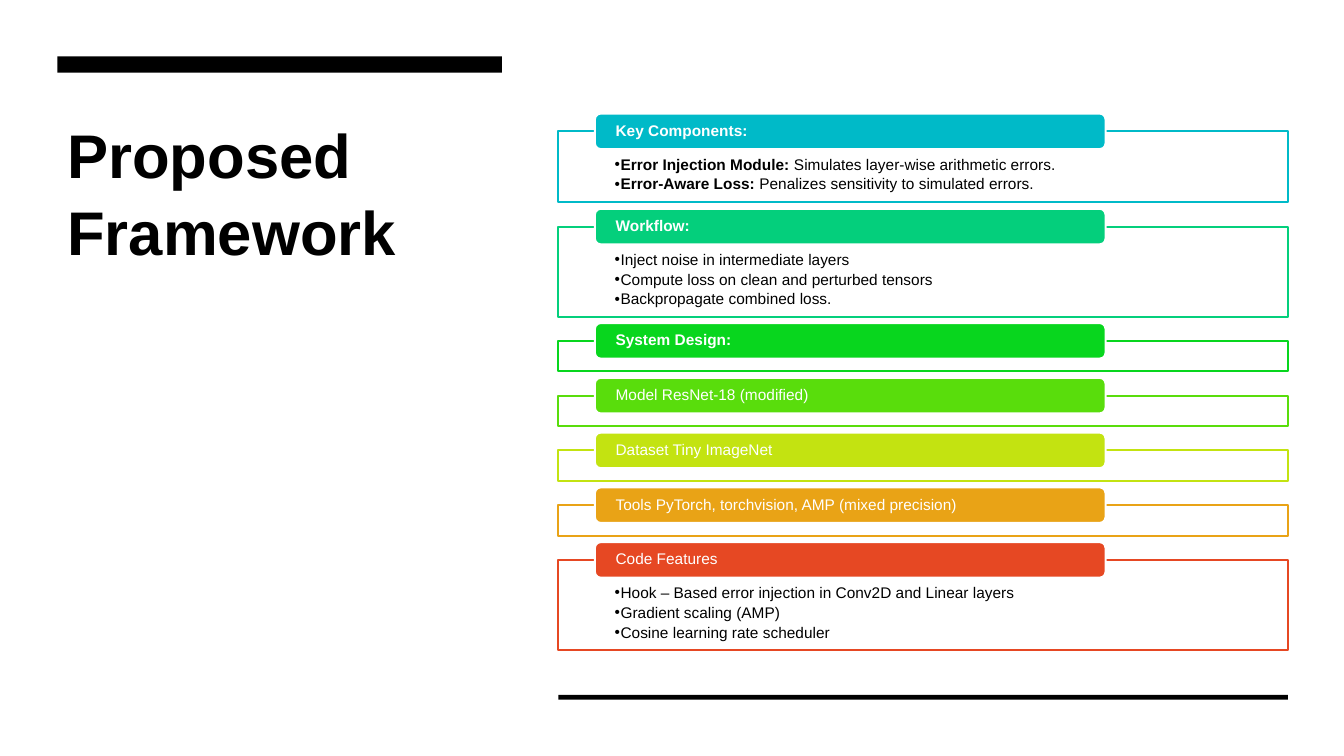
from lxml.etree import SubElement
from pptx import Presentation
from pptx.dml.color import RGBColor
from pptx.enum.shapes import MSO_SHAPE as Shape
from pptx.enum.text import MSO_ANCHOR as Anchor, PP_ALIGN as Align
from pptx.oxml.ns import qn
from pptx.util import Cm, Pt

BLACK = RGBColor(0x00, 0x00, 0x00)
WHITE = RGBColor(0xFF, 0xFF, 0xFF)
CYAN = RGBColor(0x00, 0xBA, 0xC8)
TEAL = RGBColor(0x04, 0xCF, 0x7C)
GREEN = RGBColor(0x08, 0xD6, 0x1E)
LIME = RGBColor(0x59, 0xDD, 0x0C)
YELLOW = RGBColor(0xC3, 0xE3, 0x11)
ORANGE = RGBColor(0xE9, 0xA3, 0x16)
RED = RGBColor(0xE6, 0x48, 0x23)

FONT = "Arial"
TAB_HEIGHT = 0.9
SECTION_GAP = 0.61
BODY_HEIGHTS = {0: 0.77, 2: 1.79, 3: 2.27}

SECTIONS = [
    (CYAN, "Key Components:", True, [
        ("Error Injection Module:", " Simulates layer-wise arithmetic errors."),
        ("Error-Aware Loss:", " Penalizes sensitivity to simulated errors."),
    ]),
    (TEAL, "Workflow:", True, [
        ("", "Inject noise in intermediate layers"),
        ("", "Compute loss on clean and perturbed tensors"),
        ("", "Backpropagate combined loss."),
    ]),
    (GREEN, "System Design:", True, []),
    (LIME, "Model ResNet-18 (modified)", False, []),
    (YELLOW, "Dataset Tiny ImageNet", False, []),
    (ORANGE, "Tools PyTorch, torchvision, AMP (mixed precision)", False, []),
    (RED, "Code Features", False, [
        ("", "Hook – Based error injection in Conv2D and Linear layers"),
        ("", "Gradient scaling (AMP)"),
        ("", "Cosine learning rate scheduler"),
    ]),
]


def add_text(paragraph, text, size=11, color=BLACK, bold=False):
    """Append a formatted run to a paragraph."""
    run = paragraph.add_run()
    run.text = text
    run.font.name = FONT
    run.font.size = Pt(size)
    run.font.bold = bold
    run.font.color.rgb = color


def set_frame(frame, margins, anchor=Anchor.TOP):
    """Set wrapping, anchor and left, top, right, bottom margins in cm."""
    frame.word_wrap = True
    frame.vertical_anchor = anchor
    (frame.margin_left, frame.margin_top,
     frame.margin_right, frame.margin_bottom) = map(Cm, margins)


def add_block(slide, kind, left, top, width, height, fill, line=None):
    """Add a flat preset shape, outlined only when a line colour is given."""
    shape = slide.shapes.add_shape(kind, Cm(left), Cm(top), Cm(width), Cm(height))
    shape.shadow.inherit = False
    shape.fill.solid()
    shape.fill.fore_color.rgb = fill
    if line is None:
        shape.line.fill.background()
    else:
        shape.line.color.rgb = line
        shape.line.width = Pt(1.5)
    return shape


def add_bullet(paragraph):
    """Give a paragraph a hanging round bullet."""
    paragraph.level = 1
    paragraph.alignment = Align.LEFT
    paragraph.line_spacing = 0.9
    paragraph.space_after = Pt(2.2)
    properties = paragraph._p.get_or_add_pPr()
    properties.set("marL", str(Cm(0.15)))
    properties.set("indent", str(-Cm(0.15)))
    SubElement(properties, qn("a:buFont")).set("typeface", FONT)
    SubElement(properties, qn("a:buChar")).set("char", "•")


def add_title(slide, left, top, width, height):
    """Add the slide title under its thick bar."""
    add_block(slide, Shape.RECTANGLE, left, top, width, 0.41, BLACK)
    box = slide.shapes.add_textbox(
        Cm(left), Cm(top + 1.3), Cm(width), Cm(height - 1.3))
    set_frame(box.text_frame, (0.25, 0.13, 0.25, 0.13))
    paragraph = box.text_frame.paragraphs[0]
    paragraph.line_spacing = 1.05
    add_text(paragraph, "Proposed Framework", size=44, bold=True)


def add_section(slide, left, top, width, height, color, heading, bold, bullets):
    """Add an outlined body with its bullets and a heading tab on its top edge."""
    body = add_block(slide, Shape.RECTANGLE, left, top, width, height, WHITE, color)
    frame = body.text_frame
    set_frame(frame, (1.42, 0.64, 1.42, 0.23))
    for index, (lead, rest) in enumerate(bullets):
        paragraph = frame.add_paragraph() if index else frame.paragraphs[0]
        add_bullet(paragraph)
        if lead:
            add_text(paragraph, lead, bold=True)
        add_text(paragraph, rest)

    tab = add_block(slide, Shape.ROUNDED_RECTANGLE, left + 0.05 * width,
                    top - TAB_HEIGHT / 2, 0.7 * width, TAB_HEIGHT, color, WHITE)
    set_frame(tab.text_frame, (0.48, 0, 0.48, 0), Anchor.MIDDLE)
    paragraph = tab.text_frame.paragraphs[0]
    paragraph.alignment = Align.LEFT
    paragraph.line_spacing = 0.9
    add_text(paragraph, heading, color=WHITE, bold=bold)


def add_section_list(slide, left, top, width):
    """Stack the sections with equal gaps and close with a thin bar."""
    section_top = top
    for section in SECTIONS:
        height = BODY_HEIGHTS[len(section[-1])]
        add_section(slide, left, section_top, width, height, *section)
        section_top += height + SECTION_GAP
    add_block(slide, Shape.RECTANGLE, left, top + 14.2, width, 0.12, BLACK)


def main():
    """Build and save the slide."""
    presentation = Presentation()
    presentation.slide_width = Cm(33.87)
    presentation.slide_height = Cm(19.05)
    slide = presentation.slides.add_slide(presentation.slide_layouts[6])
    add_title(slide, 1.45, 1.42, 11.2, 10.65)
    add_section_list(slide, 14.07, 3.31, 18.39)
    presentation.save("out.pptx")


if __name__ == "__main__":
    main()
